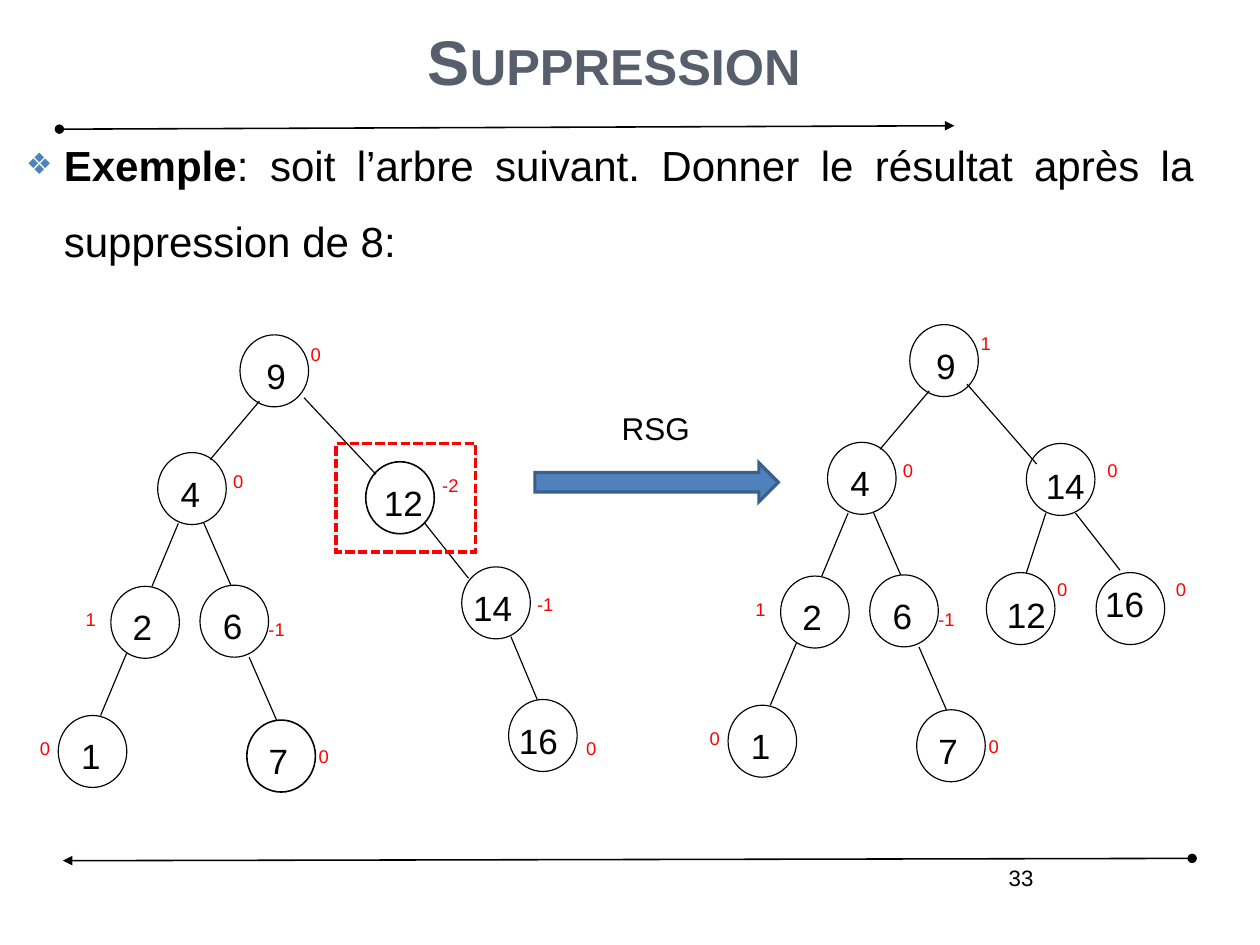
import pptx
import pptx.util
import pptx.dml.color
import pptx.enum.dml
import pptx.enum.shapes
import pptx.enum.text
import pptx.oxml
import pptx.oxml.ns
from dataclasses import dataclass
from lxml import etree

HEADING = "Suppression"
STATEMENT = [("Exemple", True),
             (": soit l’arbre suivant. Donner le résultat après la suppression de 8:", False)]
ROTATION = "RSG"
PAGE = "33"

SHARED_NODES = {
    "9": (21, 29.3, 3.15, 1.7, None, 5.2, 0.2),
    "4": (13.8, 39.6, 2.85, 1.7, "0", 5.6, 1),
    "2": (9.7, 51.3, 2.75, 1.7, "1", -3.2, 1.4),
    "6": (17.5, 51.2, 2.85, 1.7, "-1", 5, 2.4),
    "1": (5.1, 62.6, 2.85, 1.7, "0", -2.6, 1.4),
    "7": (21.6, 63, 2.75, 1.7, "0", 5.3, 1.7),
}
SHARED_EDGES = [
    ("9", "4", (1.7, 5.8), (4.6, 0.6)),
    ("4", "2", (1.8, 6.2), (3.6, 0)),
    ("4", "6", (4, 6.1), (2.7, 0)),
    ("2", "1", (1.4, 5.8), (3.7, 0)),
    ("6", "7", (4.3, 6.3), (2.6, 0)),
]
BEFORE = dict(
    shift=(0, 0), root_balance="0", heavy=("12", "7"),
    nodes={"12": (32, 40.4, 3.3, 1.7, "-2", 5.7, 0.6),
           "14": (40.4, 49.6, 2.7, 1.7, "-1", 5.6, 1.8),
           "16": (44.5, 61.2, 2.6, 1.7, "0", 5.8, 2.8)},
    edges=[("9", "12", (5.6, 5.5), (0.9, 1.1)),
           ("12", "14", (5.1, 5.3), (0.6, 1)),
           ("14", "16", (4.3, 6.1), (2.5, 0))])
AFTER = dict(
    shift=(58.6, -0.9), root_balance="1", heavy=(),
    nodes={"14": (89.8, 38.8, 3.4, 1.8, "0", 6.1, 0.9),
           "12": (86.3, 50.1, 3.5, 1.8, "0", 5.2, 0),
           "16": (95.9, 50.1, 2.5, 0.9, "0", 6, 0)},
    edges=[("9", "14", (5, 5.2), (0.9, 1.8)),
           ("14", "12", (1.7, 6.1), (3.5, 0)),
           ("14", "16", (4.3, 6.1), (2.1, -0.2))])
RULES = [((5.2, 11.3), (83.5, 11)), ((104.3, 75.1), (5.5, 75.3))]
NODE_SIZE = (6, 6.3)


@dataclass(frozen=True)
class Theme:
    font: str = "Arial"
    ink: str = "000000"
    heading: str = "575F6D"
    accent: str = "4F81BD"
    accent_edge: str = "3A5F8C"
    alert: str = "FF0000"
    heading_size: float = 39.7
    body_size: float = 26.5
    node_size: float = 22.1
    rotation_size: float = 19.8
    page_size: float = 14
    balance_size: float = 11.6
    thin: float = 0.75
    medium: float = 1
    thick: float = 2


theme = Theme()
ALIGN = pptx.enum.text.PP_ALIGN
SHAPE = pptx.enum.shapes.MSO_SHAPE


def grid(*steps):
    return [pptx.util.Inches(step / 10) for step in steps]


def rgb(value):
    return pptx.dml.color.RGBColor.from_string(value)


def add_xml(parent, tag, **attributes):
    return etree.SubElement(parent, pptx.oxml.ns.qn(tag), attributes)


def set_font(font, size, color):
    font.name, font.size, font.color.rgb = theme.font, pptx.util.Pt(size), rgb(color)


def write(target, box, text, size, color, align=None, inset=True, wrap=False):
    frame = target.shapes.add_textbox(*grid(*box)).text_frame
    frame.word_wrap = wrap
    if not wrap:
        frame.auto_size = pptx.enum.text.MSO_AUTO_SIZE.SHAPE_TO_FIT_TEXT
    if not inset:
        frame.margin_left = frame.margin_right = frame.margin_top = frame.margin_bottom = 0
    paragraph = frame.paragraphs[0]
    paragraph.text = text
    paragraph.alignment = align
    set_font(paragraph.font, size, color)


def connect(target, start, end, width, arrow=False):
    line = target.shapes.add_connector(
        pptx.enum.shapes.MSO_CONNECTOR.STRAIGHT, *grid(*start, *end))
    line.line.color.rgb = rgb(theme.ink)
    line.line.width = pptx.util.Pt(width)
    if arrow:
        outline = line.line._get_or_add_ln()
        add_xml(outline, "a:headEnd", type="oval")
        add_xml(outline, "a:tailEnd", type="triangle")
    add_xml(line._element.spPr, "a:effectLst")


def draw(target, kind, box, color, width, fill=None, dash=None):
    shape = target.shapes.add_shape(kind, *grid(*box))
    shape.shadow.inherit = False
    if fill:
        shape.fill.solid()
        shape.fill.fore_color.rgb = rgb(fill)
    else:
        shape.fill.background()
    shape.line.color.rgb = rgb(color)
    shape.line.width = pptx.util.Pt(width)
    if dash:
        shape.line.dash_style = dash
    add_xml(shape.line._get_or_add_ln(), "a:miter", lim="800000")


def draw_tree(slide, tree):
    group = slide.shapes.add_group_shape()
    dx, dy = tree["shift"]
    nodes = {value: (node[0] + dx, node[1] + dy, *node[2:])
             for value, node in SHARED_NODES.items()}
    nodes.update(tree["nodes"])
    for value, (x, y, centre, top, balance, bx, by) in nodes.items():
        width = theme.medium if value in tree["heavy"] else theme.thin
        draw(group, SHAPE.OVAL, (x, y, *NODE_SIZE), theme.ink, width)
        label_width = 1.8 * len(value)
        write(group, (x + centre - label_width / 2, y + top, label_width, 3.7),
              value, theme.node_size, theme.ink, ALIGN.CENTER, inset=False)
        balance = balance or tree["root_balance"]
        write(group, (x + bx, y + by, 2.3 + 0.6 * len(balance), 3),
              balance, theme.balance_size, theme.alert)
    for parent, child, start, end in SHARED_EDGES + tree["edges"]:
        (px, py), (cx, cy) = nodes[parent][:2], nodes[child][:2]
        connect(group, (px + start[0], py + start[1]),
                (cx + end[0], cy + end[1]), theme.thin)


def draw_heading(slide):
    title = slide.shapes.title
    title.left, title.top, title.width, title.height = grid(5.5, -9, 96.5, 18.1)
    frame = title.text_frame
    frame.text = HEADING
    frame.word_wrap = True
    frame.auto_size = pptx.enum.text.MSO_AUTO_SIZE.NONE
    frame.vertical_anchor = pptx.enum.text.MSO_ANCHOR.BOTTOM
    paragraph = frame.paragraphs[0]
    set_font(paragraph.font, theme.heading_size, theme.heading)
    paragraph.font.bold = True
    paragraph.alignment = ALIGN.CENTER
    paragraph.line_spacing = 1.5
    paragraph.runs[0].font._element.set("cap", "small")


def draw_statement(slide):
    frame = slide.shapes.add_textbox(*grid(1.3, 9.5, 104.2, 73.2)).text_frame
    frame.word_wrap = True
    paragraph = frame.paragraphs[0]
    for text, bold in STATEMENT:
        run = paragraph.add_run()
        run.text, run.font.bold = text, bold
        set_font(run.font, theme.body_size, theme.ink)
    paragraph.alignment = ALIGN.JUSTIFY
    paragraph.line_spacing = 1.5
    paragraph.space_before = pptx.util.Pt(6.6)
    properties = paragraph._p.get_or_add_pPr()
    indent = grid(3.3)[0]
    properties.set("marL", str(indent))
    properties.set("indent", str(-indent))
    add_xml(add_xml(properties, "a:buClr"), "a:srgbClr", val=theme.accent)
    add_xml(properties, "a:buSzPct", val="70000")
    add_xml(properties, "a:buFont", typeface=theme.font)
    add_xml(properties, "a:buChar", char="❖")


def main():
    deck = pptx.Presentation()
    deck.slide_width = pptx.util.Cm(28)
    deck.slide_height = pptx.util.Cm(21)
    slide = deck.slides.add_slide(deck.slide_layouts[5])
    for start, end in RULES:
        connect(slide, start, end, theme.medium, arrow=True)
    write(slide, (65.7, 75.1, 25.7, 5.7), PAGE, theme.page_size, theme.ink,
          ALIGN.RIGHT, wrap=True)
    draw_heading(slide)
    draw_statement(slide)
    draw_tree(slide, BEFORE)
    draw(slide, SHAPE.RECTANGLE, (29.4, 38.8, 12.2, 9.5), theme.alert, theme.thick,
         dash=pptx.enum.dml.MSO_LINE.SQUARE_DOT)
    draw_tree(slide, AFTER)
    draw(slide, SHAPE.RIGHT_ARROW, (46.8, 40.5, 21.3, 3.4), theme.accent_edge,
         theme.thick, theme.accent)
    write(slide, (53.4, 35.3, 8.1, 4.3), ROTATION, theme.rotation_size, theme.ink)
    deck.save("out.pptx")


if __name__ == "__main__":
    main()
